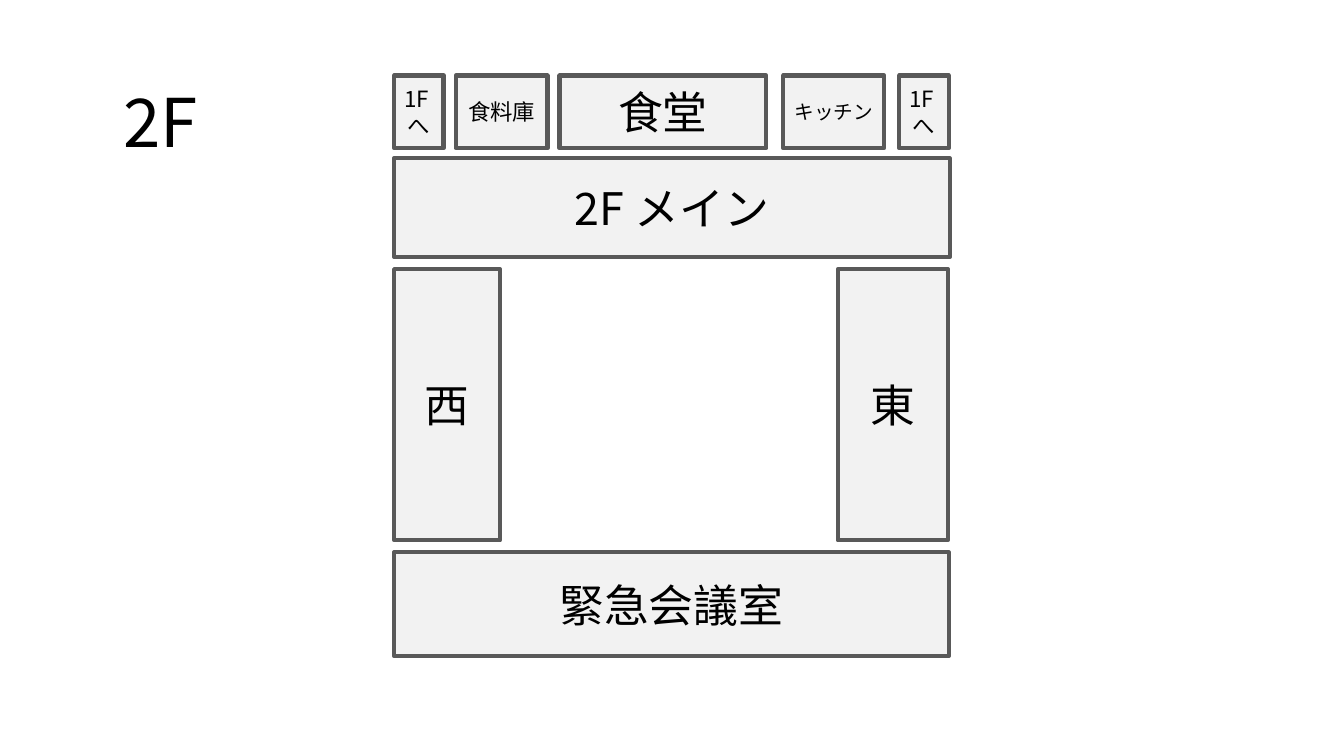
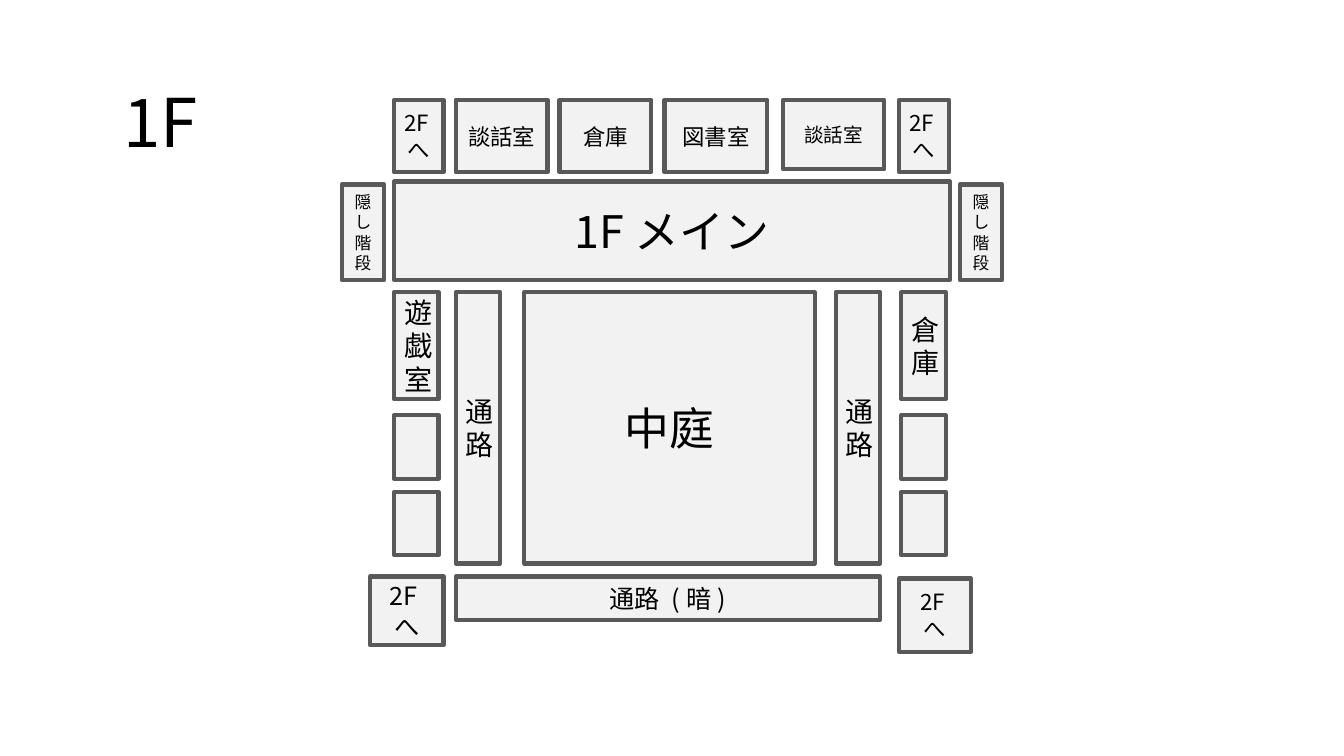
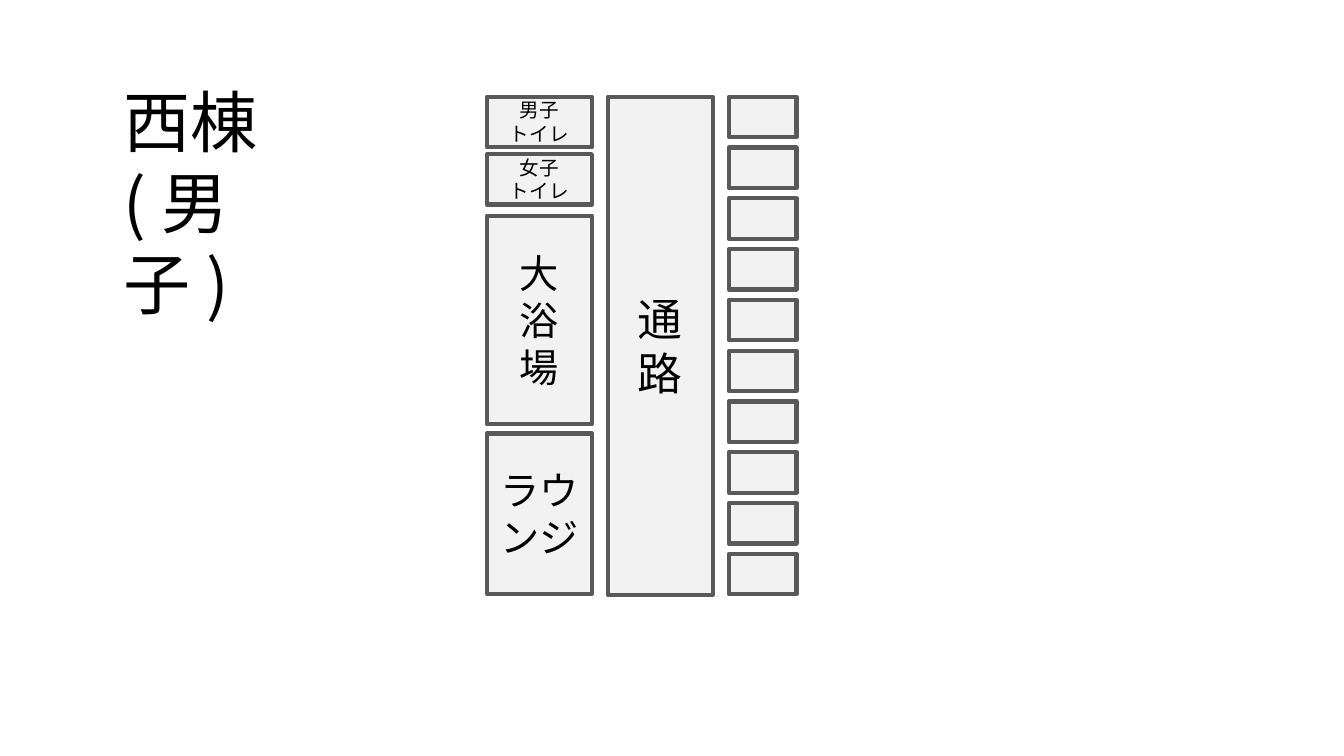
import pptx
import pptx.dml.color
import pptx.enum.shapes
import pptx.enum.text
import pptx.util
from lxml import etree

COLUMNS, ROWS = 133.3, 75
FONT = "Noto Sans CJK JP"
INK, WALL, FLOOR = "000000", "595959", "F2F2F2"
TITLE_ONLY = 5


def color(value):
    return pptx.dml.color.RGBColor.from_string(value)


def write(frame, text, size=32, align="CENTER", anchor="MIDDLE", ink=INK):
    frame.word_wrap = True
    frame.vertical_anchor = getattr(pptx.enum.text.MSO_ANCHOR, anchor)
    for index, paragraph_text in enumerate(text.split("\n")):
        para = frame.add_paragraph() if index else frame.paragraphs[0]
        para.alignment = getattr(pptx.enum.text.PP_ALIGN, align)
        for number, line in enumerate(paragraph_text.split("|")):
            if number:
                para.add_line_break()
            span = para.add_run()
            span.text = line
            span.font.size = pptx.util.Pt(size)
            span.font.name = FONT
            span.font.color.rgb = color(ink)
            east_asian = pptx.oxml.ns.qn("a:ea")
            etree.SubElement(span.font._element, east_asian, typeface=FONT)


class FloorPlan:
    def __init__(self):
        self.deck = pptx.Presentation()
        self.deck.slide_width = pptx.util.Inches(13.33)
        self.deck.slide_height = pptx.util.Inches(7.5)
        self.page = None

    def place(self, left, top, width, height):
        across = self.deck.slide_width / COLUMNS
        down = self.deck.slide_height / ROWS
        return [round(length) for length in
                (left * across, top * down, width * across, height * down)]

    def floor(self, name, width=19, height=9.1):
        self.page = self.deck.slides.add_slide(self.deck.slide_layouts[TITLE_ONLY])
        title = self.page.shapes.title
        title.left, title.top, title.width, title.height = self.place(11.2, 7.5, width, height)
        write(title.text_frame, name, size=48, align="LEFT", anchor="TOP")
        title.text_frame.auto_size = pptx.enum.text.MSO_AUTO_SIZE.SHAPE_TO_FIT_TEXT

    def room(self, left, top, width, height, name="", size=32):
        box = self.page.shapes.add_shape(
            pptx.enum.shapes.MSO_SHAPE.RECTANGLE, *self.place(left, top, width, height))
        box.shadow.inherit = False
        box.fill.solid()
        box.fill.fore_color.rgb = color(FLOOR)
        box.line.color.rgb = color(WALL)
        box.line.width = pptx.util.Pt(3)
        if name:
            write(box.text_frame, name, size=size)

    def row(self, top, height, rooms):
        for left, width, *label in rooms:
            self.room(left, top, width, height, *label)

    def column(self, left, width, rooms):
        for top, height, *label in rooms:
            self.room(left, top, width, height, *label)

    def stairs(self, top, name):
        self.row(top, 7.2, [(39.1, 4.9, name, 16), (89.2, 4.9, name, 16)])

    def main_hall(self, top, name):
        self.room(39.1, top, 55.1, 9.8, name)


def second_floor(plan):
    plan.floor("2F")
    plan.stairs(7.5, "1Fへ")
    plan.row(7.5, 7.2, [
        (45.2, 9.1, "食料庫", 16),
        (55.5, 20.5, "食堂"),
        (77.7, 10, "キッチン", 14),
    ])
    plan.main_hall(15.7, "2Fメイン")
    plan.row(26.7, 26.9, [(39.1, 10.5, "西"), (83.1, 10.9, "東")])
    plan.room(39.1, 54.8, 55, 10.3, "緊急会議室")


def first_floor(plan):
    plan.floor("1F")
    plan.stairs(9.9, "2Fへ")
    plan.row(9.9, 7.2, [
        (45.2, 9.1, "談話室", 16),
        (55.5, 9.1, "倉庫", 16),
        (65.9, 10.2, "図書室", 16),
    ])
    plan.room(77.7, 9.9, 10, 6.9, "談話室", 14)
    plan.main_hall(18, "1Fメイン")
    plan.row(18.3, 9.5, [(left, 4.2, "隠し階段", 12) for left in (33.9, 95.2)])
    plan.row(29, 26.9, [
        (45.2, 4.4, "通路", 20),
        (52, 28.8, "中庭"),
        (82.9, 4.4, "通路", 20),
    ])
    for left, name in ((39.1, "遊戯室"), (89.4, "倉庫")):
        plan.column(left, 4.4, [(29, 10.6, name, 20), (41.2, 6.3), (48.8, 6.3)])
    plan.room(36.7, 57.2, 7.3, 6.8, "2Fへ", 18)
    plan.room(45.2, 57.2, 42.1, 4.3, "通路 (暗)", 18)
    plan.room(89.2, 57.4, 7.1, 7.3, "2Fへ", 16)


def west_wing(plan):
    plan.floor("西棟\n(男子)", width=21.5, height=17.2)
    plan.column(48.3, 10.4, [
        (9.6, 5, "男子|トイレ", 14),
        (15.3, 5, "女子|トイレ", 14),
        (21.4, 20.7, "大|浴|場", 28),
        (43, 15.9, "ラウンジ", 28),
    ])
    plan.room(60.3, 9.6, 10.4, 49.4, "通路")
    plan.column(72.3, 6.7, [(9.6 + 5.04 * index, 4) for index in range(10)])


def main():
    plan = FloorPlan()
    for draw in (second_floor, first_floor, west_wing):
        draw(plan)
    plan.deck.save("out.pptx")


if __name__ == "__main__":
    main()
